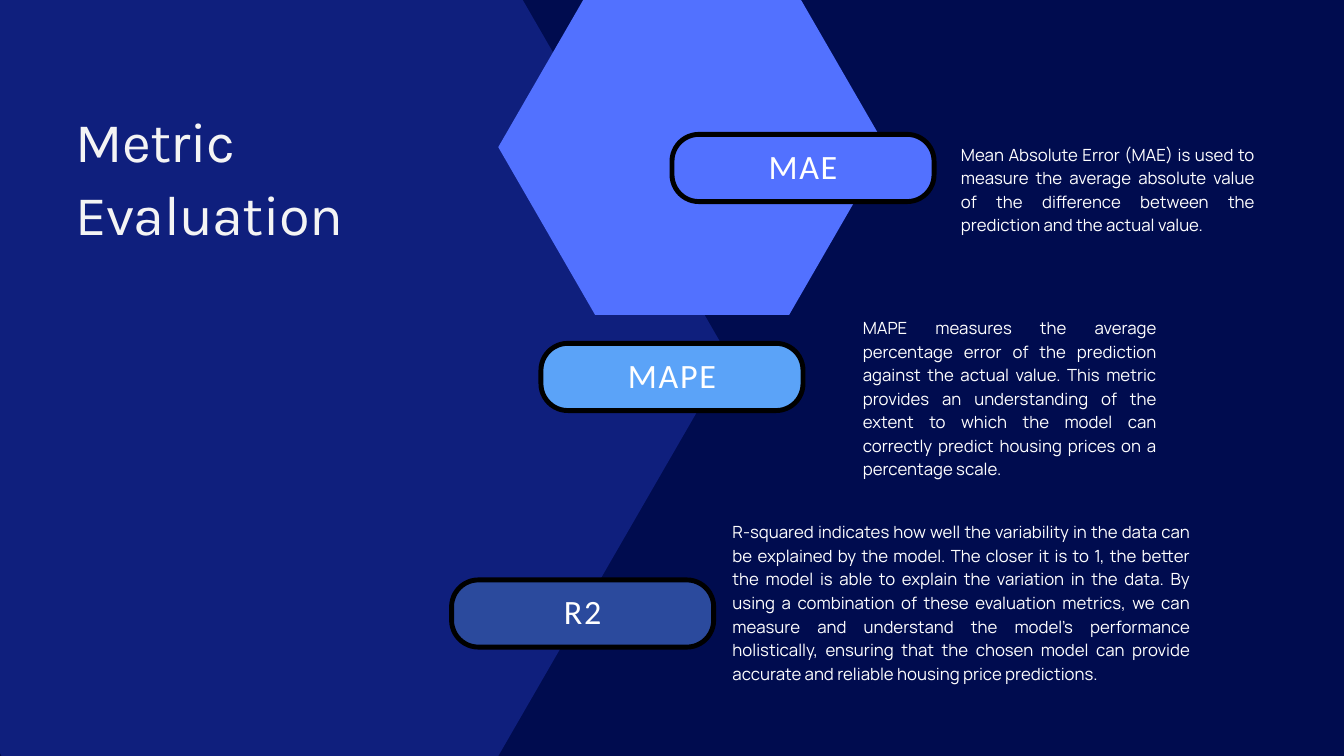
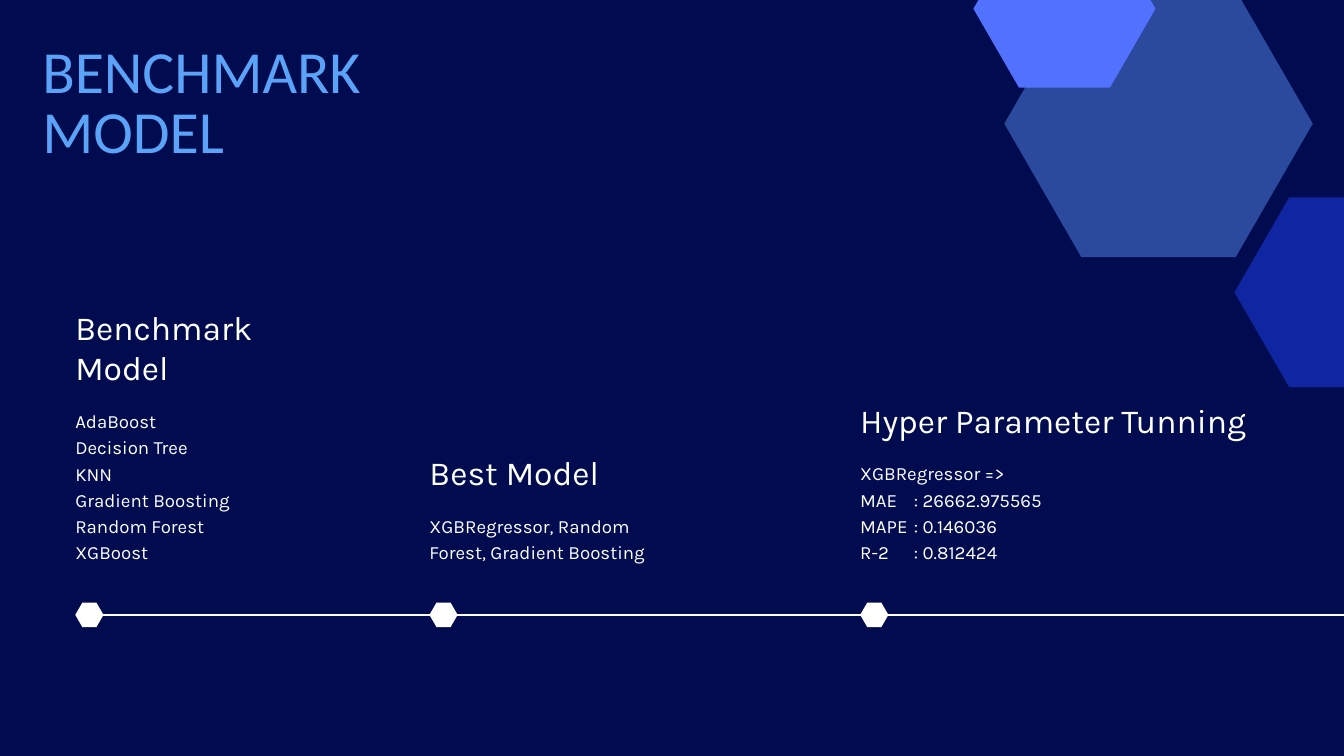
"""Build the metric evaluation and benchmark model slides."""
from dataclasses import dataclass
from math import sqrt

from lxml.etree import SubElement
from pptx import Presentation
from pptx.dml.color import RGBColor
from pptx.enum.shapes import MSO_CONNECTOR, MSO_SHAPE
from pptx.enum.text import MSO_ANCHOR, PP_ALIGN
from pptx.oxml.ns import qn
from pptx.util import Inches, Pt


@dataclass(frozen=True)
class TextStyle:
    """Type settings of one kind of text."""
    font: str
    size: float
    leading: float
    color: str
    align: PP_ALIGN = PP_ALIGN.LEFT
    tracking: float = 0

    def rows(self, lines):
        """Return the height of a number of lines in grid rows."""
        return lines * self.leading / 72


@dataclass(frozen=True)
class Theme:
    """Grid, colours and type sizes shared by the slides."""
    columns: float = 20
    rows: float = 11.25
    night: str = "000C4F"
    navy: str = "0F1F7D"
    royal: str = "1025A1"
    steel: str = "2B4A9D"
    iris: str = "5271FF"
    sky: str = "5BA3F8"
    white: str = "FFFFFF"
    black: str = "000000"
    title = TextStyle("Karla", 60, 78, "F4F4F4", tracking=-0.6)
    caps_title = TextStyle("Calibri", 64, 64, sky)
    label = TextStyle("Calibri", 36.5, 51.1, white, PP_ALIGN.CENTER, 1.8)
    explanation = TextStyle("Manrope", 18, 25.2, white, PP_ALIGN.JUSTIFY)
    heading = TextStyle("Karla", 36, 43.2, white)
    body = TextStyle("Karla", 20, 28, white)


class Deck:
    """Hold the theme and the current slide and draw elements on its grid."""

    def __init__(self, theme):
        self.theme = theme
        self.presentation = Presentation()
        self.presentation.slide_width = Inches(theme.columns)
        self.presentation.slide_height = Inches(theme.rows)
        self.slide = None

    def x(self, columns):
        """Convert grid columns to a length."""
        return round(self.presentation.slide_width * columns / self.theme.columns)

    def y(self, rows):
        """Convert grid rows to a length."""
        return round(self.presentation.slide_height * rows / self.theme.rows)

    def box(self, left, top, width, height):
        """Convert a grid rectangle to lengths."""
        return self.x(left), self.y(top), self.x(width), self.y(height)

    def add_slide(self):
        """Start a blank slide on the shared background."""
        self.slide = self.presentation.slides.add_slide(self.presentation.slide_layouts[6])
        fill = self.slide.background.fill
        fill.solid()
        fill.fore_color.rgb = RGBColor.from_string(self.theme.night)

    def shape(self, preset, box, color, corner):
        """Draw a filled preset shape without an outline."""
        shape = self.slide.shapes.add_shape(preset, *self.box(*box))
        shape.adjustments[0] = corner
        shape.shadow.inherit = False
        shape.fill.solid()
        shape.fill.fore_color.rgb = RGBColor.from_string(color)
        shape.line.fill.background()
        return shape

    def hexagon(self, center_x, center_y, width, color):
        """Draw a regular hexagon around a centre."""
        height = width * sqrt(3) / 2
        box = center_x - width / 2, center_y - height / 2, width, height
        self.shape(MSO_SHAPE.HEXAGON, box, color, width / height / 4)

    def pill(self, left, top, name, color):
        """Draw an outlined metric pill with its name."""
        pill = self.shape(MSO_SHAPE.ROUNDED_RECTANGLE, (left, top, 3.9, 1), color, 0.4)
        pill.line.color.rgb = RGBColor.from_string(self.theme.black)
        pill.line.width = Pt(5.25)
        self.fill_frame(pill.text_frame, [name], self.theme.label)
        pill.text_frame.vertical_anchor = MSO_ANCHOR.MIDDLE
        pill.text_frame.margin_bottom = self.y(0.17)

    def text(self, left, top, width, lines, style, height=None, tab=None):
        """Place a text box of one style."""
        height = height or style.rows(len(lines))
        area = self.slide.shapes.add_textbox(*self.box(left, top, width, height))
        self.fill_frame(area.text_frame, lines, style, tab)

    def fill_frame(self, frame, lines, style, tab=None):
        """Fill a text frame, one paragraph for each line."""
        frame.word_wrap = True
        frame.margin_left = frame.margin_right = frame.margin_top = frame.margin_bottom = 0
        for index, line in enumerate(lines):
            paragraph = frame.paragraphs[0] if index == 0 else frame.add_paragraph()
            paragraph.alignment = style.align
            paragraph.line_spacing = Pt(style.leading)
            if tab:
                stops = SubElement(paragraph._p.get_or_add_pPr(), qn("a:tabLst"))
                SubElement(stops, qn("a:tab"), pos=str(self.x(tab)), algn="l")
            run = paragraph.add_run()
            run.text = line
            run.font.name = style.font
            run.font.size = Pt(style.size)
            run.font.color.rgb = RGBColor.from_string(style.color)
            if style.tracking:
                run._r.get_or_add_rPr().set("spc", str(round(style.tracking * 100)))

    def rule(self, start, end, row):
        """Draw a horizontal line."""
        rule = self.slide.shapes.add_connector(
            MSO_CONNECTOR.STRAIGHT, self.x(start), self.y(row), self.x(end), self.y(row))
        rule.line.color.rgb = RGBColor.from_string(self.theme.white)
        rule.line.width = Pt(1.5)
        SubElement(rule._element.spPr, qn("a:effectLst"))

    def milestone(self, left, width, axis, heading, body, line_count, tab=None):
        """Stack a heading and its body above a node on the timeline."""
        theme = self.theme
        body_height = theme.body.rows(line_count)
        body_top = axis - 0.77 - body_height
        heading_top = body_top - 0.28 - theme.heading.rows(len(heading))
        self.text(left, heading_top, width, heading, theme.heading)
        self.text(left, body_top, width, body, theme.body, body_height, tab)
        self.hexagon(left + 0.21, axis, 0.42, theme.white)


def build_metric_evaluation(deck):
    """Explain the three evaluation metrics."""
    theme = deck.theme
    deck.add_slide()
    deck.hexagon(3.72, 5.31, 14.25, theme.navy)
    deck.hexagon(10.3, 2.19, 5.77, theme.iris)
    deck.text(1.12, 1.5, 6.69, ["Metric", "Evaluation"], theme.title)
    metrics = [
        ("MAE", theme.iris, (10, 2), (14.3, 2.1, 4.37), 4,
         "Mean Absolute Error (MAE) is used to measure the average absolute value of the "
         "difference between the prediction and the actual value."),
        ("MAPE", theme.sky, (8.05, 5.11), (12.84, 4.68, 4.37), 7,
         "MAPE measures the average percentage error of the prediction against the actual "
         "value. This metric provides an understanding of the extent to which the model can "
         "correctly predict housing prices on a percentage scale."),
        ("R2", theme.steel, (6.72, 8.63), (10.9, 7.72, 6.81), 7,
         "R-squared indicates how well the variability in the data can be explained by the "
         "model. The closer it is to 1, the better the model is able to explain the variation "
         "in the data. By using a combination of these evaluation metrics, we can measure and "
         "understand the model's performance holistically, ensuring that the chosen model can "
         "provide accurate and reliable housing price predictions."),
    ]
    for name, color, pill_corner, area, line_count, explanation in metrics:
        deck.pill(*pill_corner, name, color)
        deck.text(*area, [explanation], theme.explanation, theme.explanation.rows(line_count))


def build_benchmark_model(deck):
    """Show the way from candidate models to the tuned one."""
    theme = deck.theme
    axis = 9.15
    deck.add_slide()
    deck.rule(1.39, theme.columns, axis)
    candidates = ["AdaBoost", "Decision Tree", "KNN", "Gradient Boosting",
                  "Random Forest", "XGBoost"]
    scores = ["XGBRegressor =>", "MAE\t: 26662.975565", "MAPE\t: 0.146036", "R-2\t: 0.812424"]
    deck.milestone(1.12, 3.68, axis, ["Benchmark", "Model"], candidates, len(candidates))
    deck.milestone(6.39, 3.68, axis, ["Best Model"],
                   ["XGBRegressor, Random Forest, Gradient Boosting"], 2)
    deck.milestone(12.8, 6.36, axis, ["Hyper Parameter Tunning"], scores, len(scores), tab=0.8)
    deck.hexagon(theme.columns, 4.35, 3.26, theme.royal)
    deck.hexagon(17.24, 1.84, 4.59, theme.steel)
    deck.hexagon(15.84, 0.13, 2.71, theme.iris)
    deck.text(0.63, 0.68, 15.21, ["BENCHMARK", "MODEL"], theme.caps_title)


def main():
    """Build and save the deck."""
    deck = Deck(Theme())
    build_metric_evaluation(deck)
    build_benchmark_model(deck)
    deck.presentation.save("out.pptx")


if __name__ == "__main__":
    main()
